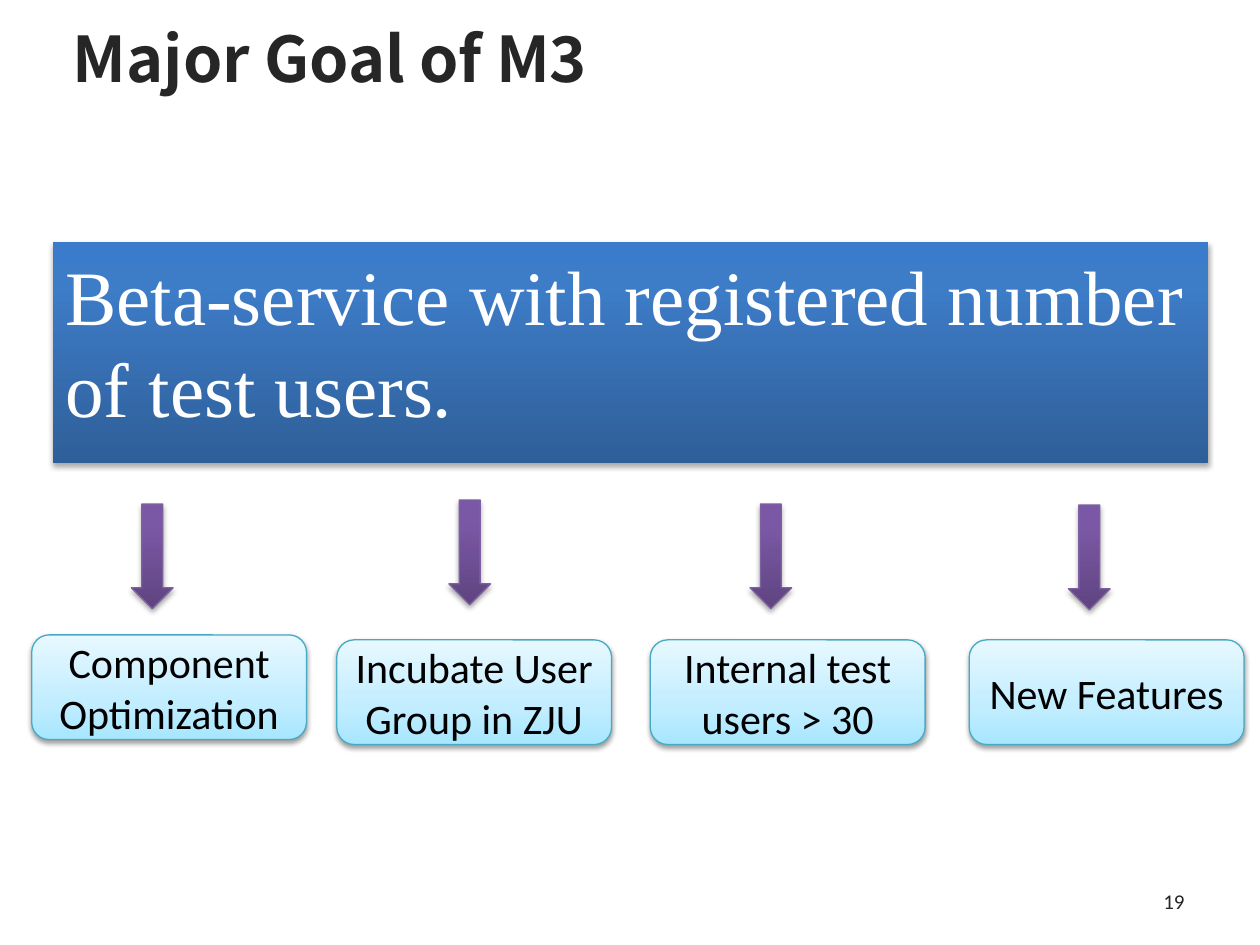
from lxml import etree
from pptx import Presentation
from pptx.dml.color import RGBColor
from pptx.enum.shapes import MSO_SHAPE
from pptx.enum.text import MSO_ANCHOR, PP_ALIGN
from pptx.oxml import parse_xml
from pptx.oxml.ns import nsdecls, qn
from pptx.util import Cm, Pt

RECTANGLE = MSO_SHAPE.RECTANGLE
ROUNDED = MSO_SHAPE.ROUNDED_RECTANGLE
DOWN_ARROW = MSO_SHAPE.DOWN_ARROW
TOP, MIDDLE = MSO_ANCHOR.TOP, MSO_ANCHOR.MIDDLE
LEFT, CENTER, RIGHT = PP_ALIGN.LEFT, PP_ALIGN.CENTER, PP_ALIGN.RIGHT

COLORS = {
    "heading": "262626",
    "banner_text": "FFFFFF",
    "goal_text": "000000",
    "goal_line": "46AAC5",
    "arrow_line": "7D60A0",
    "shadow": "000000",
}
# Stops run from the bottom edge to the top: percent, colour
GRADIENTS = {
    "banner": [(0, "2F5F99"), (80, "3D7CC7"), (100, "3A7CCB")],
    "goal": [(0, "A7E6FF"), (35, "C1EDFF"), (100, "E7F8FF")],
    "arrow": [(0, "5F4480"), (80, "7B58A6"), (100, "7C57A8")],
}
TITLE_FONT = {"name": "Noto Sans CJK SC", "size": Pt(36), "bold": True}
BANNER_FONT = {"name": "Times New Roman", "size": Pt(44)}
GOAL_FONT = {"name": "Calibri", "size": Pt(24)}
NUMBER_FONT = {"name": "Calibri", "size": Pt(12)}

GOAL_WIDTH, GOAL_HEIGHT = 5.54, 2.11
ARROW_WIDTH, ARROW_HEIGHT = 0.84, 2.11
# Label, goal left and top, arrow left and top within the goal row, in cm
GOALS = [
    ("Component Optimization", 0, 2.64, 2.01, 0),
    ("Incubate User Group in ZJU", 6.15, 2.74, 8.41, -0.08),
    ("Internal test users > 30", 12.47, 2.74, 14.48, 0),
    ("New Features", 18.9, 2.74, 20.9, 0.02),
]


def set_text(shape, text, font, color, align=LEFT, anchor=MIDDLE, before=0):
    frame = shape.text_frame
    frame.word_wrap = True
    frame.vertical_anchor = anchor
    paragraph = frame.paragraphs[0]
    paragraph.alignment = align
    paragraph.space_before = Pt(before)
    run = paragraph.add_run()
    run.text = text
    for name, value in font.items():
        setattr(run.font, name, value)
    run.font.color.rgb = RGBColor.from_string(COLORS[color])


def add_text(slide, box, text, font, align=LEFT):
    shape = slide.shapes.add_textbox(*map(Cm, box))
    set_text(shape, text, font, "heading", align)


def set_gradient(shape, stops):
    shape.fill.gradient()
    shape.fill.gradient_angle = 90
    stop_list = shape._element.spPr.find(qn("a:gradFill")).find(qn("a:gsLst"))
    for stop in list(stop_list):
        stop_list.remove(stop)
    for percent, color in stops:
        stop = etree.SubElement(stop_list, qn("a:gs"), pos=str(percent * 1000))
        etree.SubElement(stop, qn("a:srgbClr"), val=color)


def set_shadow(shape, opacity, distance):
    shape.shadow.inherit = False
    effects = shape._element.spPr.find(qn("a:effectLst"))
    effects.append(parse_xml(
        f'<a:outerShdw {nsdecls("a")} blurRad="{Pt(3.1)}" dist="{Pt(distance)}"'
        f' dir="5400000" rotWithShape="0"><a:srgbClr val="{COLORS["shadow"]}">'
        f'<a:alpha val="{opacity * 1000}"/></a:srgbClr></a:outerShdw>'))


def add_panel(slide, kind, box, gradient, line=None, opacity=35, distance=1.8):
    """Add a shape with a vertical gradient and a soft shadow below it."""
    shape = slide.shapes.add_shape(kind, *map(Cm, box))
    set_gradient(shape, GRADIENTS[gradient])
    if line:
        shape.line.color.rgb = RGBColor.from_string(COLORS[line])
        shape.line.width = Pt(0.75)
    else:
        shape.line.fill.background()
    set_shadow(shape, opacity, distance)
    return shape


def add_banner(slide, box, text):
    banner = add_panel(slide, RECTANGLE, box, "banner")
    set_text(banner, text, BANNER_FONT, "banner_text", anchor=TOP, before=8.8)


def add_goal_row(slide, left, top):
    """Add the goals, each with an arrow that points down to it."""
    for label, goal_left, goal_top, arrow_left, arrow_top in GOALS:
        goal_box = (left + goal_left, top + goal_top, GOAL_WIDTH, GOAL_HEIGHT)
        goal = add_panel(slide, ROUNDED, goal_box, "goal", "goal_line", 38, 1.6)
        set_text(goal, label, GOAL_FONT, "goal_text", CENTER)
        arrow_box = (left + arrow_left, top + arrow_top, ARROW_WIDTH, ARROW_HEIGHT)
        add_panel(slide, DOWN_ARROW, arrow_box, "arrow", "arrow_line")


def main():
    presentation = Presentation()
    presentation.slide_width, presentation.slide_height = Cm(25.4), Cm(19.05)
    slide = presentation.slides.add_slide(presentation.slide_layouts[6])
    add_text(slide, (1.22, 0.2, 23.34, 1.9), "Major Goal of M3", TITLE_FONT)
    add_text(slide, (18.21, 17.65, 5.92, 1.02), "19", NUMBER_FONT, RIGHT)
    add_banner(slide, (1.07, 4.88, 23.29, 4.45),
               "Beta-service with registered number of test users.")
    add_goal_row(slide, 0.64, 10.16)
    presentation.save("out.pptx")


if __name__ == "__main__":
    main()
